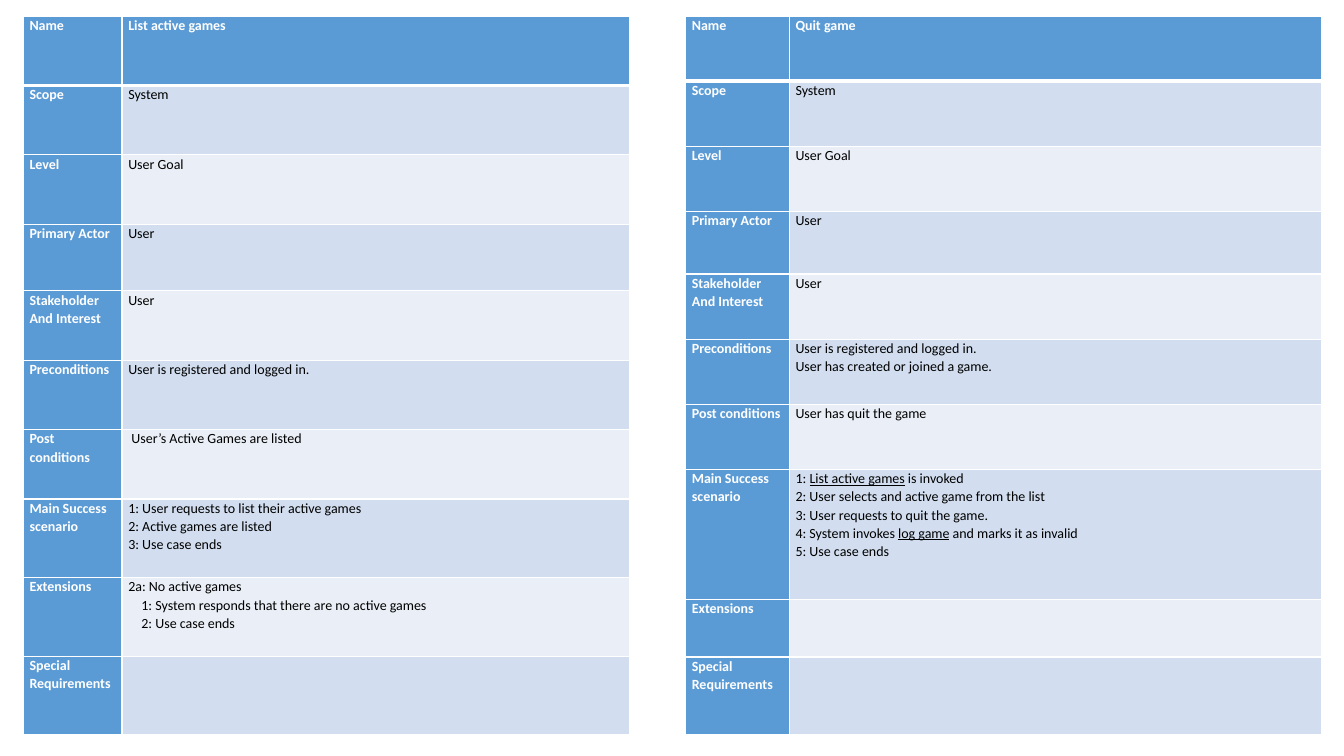
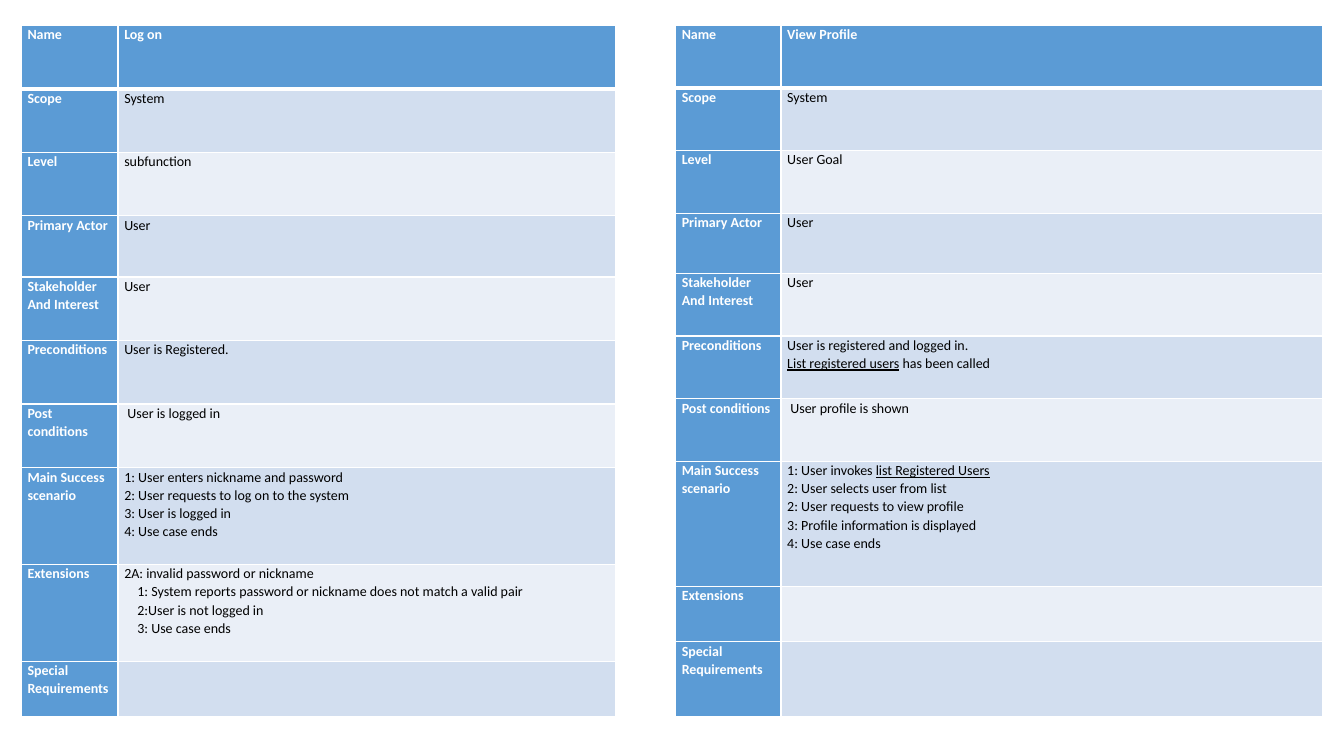
from lxml import etree
from pptx import Presentation
from pptx.dml.color import RGBColor
from pptx.oxml.ns import qn
from pptx.util import Inches, Pt

SLIDE_WIDTH, SLIDE_HEIGHT = Inches(13.33), Inches(7.5)
BLANK_LAYOUT = 6

FONT, FONT_SIZE, LINE_SPACING = "Calibri", Pt(10), 1.07
WHITE, BLACK = "FFFFFF", "000000"
HEADER_FILL = "5B9BD5"
BAND_FILLS = ("EAEFF7", "D2DEEF")  # even rows, odd rows
THIN_LINE, HEADER_LINE = Pt(1), Pt(3)
SIDE_MARGIN = Pt(4.5)
STEP_INDENT = Inches(0.13)

LABEL_SHARE = 0.163  # label column, of the table width
ACTOR_RATIO = 0.96   # actor row, of an ordinary row
ACTOR_ROW = 3
LABELS = (
    ["Name"], ["Scope"], ["Level"], ["Primary Actor"],
    ["Stakeholder", "And Interest"], ["Preconditions"], ["Post conditions"],
    ["Main Success scenario"], ["Extensions"], ["Special Requirements"],
)

# Boxes are left, top, width and height in percent of the slide; tall rows are
# the last three, in percent of the table. In the lines, _x_ underlines x and
# a leading > indents a step.
SLIDES = (
    (
        {
            "box": (1.73, 2.13, 45.09, 95.07),
            "tall_rows": (10.94, 10.94, 10.94),
            "values": (
                ["List active games"], ["System"], ["User Goal"], ["User"], ["User"],
                ["User is registered and logged in."],
                [" User’s Active Games are listed"],
                ["1: User requests to list their active games",
                 "2: Active games are listed",
                 "3: Use case ends"],
                ["2a: No active games",
                 ">1: System responds that there are no active games",
                 ">2: Use case ends"],
                [],
            ),
        },
        {
            "box": (51.01, 2.13, 47.34, 95.07),
            "tall_rows": (18.1, 8, 10.8),
            "values": (
                ["Quit game"], ["System"], ["User Goal"], ["User"], ["User"],
                ["User is registered and logged in.",
                 "User has created or joined a game."],
                ["User has quit the game"],
                ["1: _List active games_ is invoked",
                 "2: User selects and active game from the list",
                 "3: User requests to quit the game.",
                 "4: System invokes _log game_ and marks it as invalid",
                 "5: Use case ends"],
                [],
                [],
            ),
        },
    ),
    (
        {
            "box": (1.58, 3.33, 44.19, 91.47),
            "tall_rows": (14, 14, 8),
            "values": (
                ["Log on"], ["System"], ["subfunction"], ["User"], ["User"],
                ["User is Registered."],
                [" User is logged in"],
                ["1: User enters nickname and password",
                 "2: User requests to log on to the system",
                 "3: User is logged in",
                 "4: Use case ends"],
                ["2A: invalid password or nickname",
                 ">1: System reports password or nickname does not match a valid pair",
                 ">2:User is not logged in",
                 ">3: Use case ends"],
                [],
            ),
        },
        {
            "box": (50.26, 3.33, 48.16, 91.47),
            "tall_rows": (18.1, 8, 10.8),
            "values": (
                ["View Profile"], ["System"], ["User Goal"], ["User"], ["User"],
                ["User is registered and logged in.",
                 "_List registered users_ has been called"],
                [" User profile is shown"],
                ["1: User invokes _list Registered Users_",
                 "2: User selects user from list",
                 "2: User requests to view profile",
                 "3: Profile information is displayed",
                 "4: Use case ends"],
                [],
                [],
            ),
        },
    ),
)


def rgb(color):
    return RGBColor.from_string(color)


def set_borders(cell, top, bottom):
    """Draw white cell borders; only the top and bottom widths vary."""
    properties = cell._tc.get_or_add_tcPr()
    sides = (("a:lnL", THIN_LINE), ("a:lnR", THIN_LINE), ("a:lnT", top), ("a:lnB", bottom))
    for position, (tag, width) in enumerate(sides):
        line = etree.Element(qn(tag), w=str(int(width)))
        fill = etree.SubElement(line, qn("a:solidFill"))
        etree.SubElement(fill, qn("a:srgbClr"), val=WHITE)
        properties.insert(position, line)


def add_line(paragraph, line, color, bold):
    paragraph.line_spacing = LINE_SPACING
    if line.startswith(">"):
        paragraph._p.get_or_add_pPr().set("marL", str(int(STEP_INDENT)))
        line = line[1:]
    for position, piece in enumerate(line.split("_")):
        if not piece:
            continue
        run = paragraph.add_run()
        run.text = piece
        run.font.name, run.font.size = FONT, FONT_SIZE
        run.font.bold = bold
        run.font.color.rgb = rgb(color)
        if position % 2:
            run.font.underline = True


def fill_cell(cell, lines, row, is_header):
    cell.margin_left = cell.margin_right = SIDE_MARGIN
    cell.margin_top = cell.margin_bottom = 0
    cell.fill.solid()
    cell.fill.fore_color.rgb = rgb(HEADER_FILL if is_header else BAND_FILLS[row % 2])
    set_borders(cell,
                top=HEADER_LINE if row == 1 else THIN_LINE,
                bottom=HEADER_LINE if row == 0 else THIN_LINE)
    frame = cell.text_frame
    for position, line in enumerate(lines):
        paragraph = frame.add_paragraph() if position else frame.paragraphs[0]
        add_line(paragraph, line, WHITE if is_header else BLACK, is_header)


def row_heights(height, tall_rows):
    """Share what the tall rows leave among the ordinary rows."""
    tall = [height * percent / 100 for percent in tall_rows]
    ordinary_count = len(LABELS) - len(tall)
    ordinary = (height - sum(tall)) / (ordinary_count - 1 + ACTOR_RATIO)
    heights = [ordinary] * ordinary_count
    heights[ACTOR_ROW] *= ACTOR_RATIO
    return heights + tall


def add_use_case(slide, box, tall_rows, values):
    left, top, width, height = (
        int(size * percent / 100)
        for size, percent in zip((SLIDE_WIDTH, SLIDE_HEIGHT) * 2, box)
    )
    table = slide.shapes.add_table(len(LABELS), 2, left, top, width, height).table
    table.first_col = True
    label_width = int(width * LABEL_SHARE)
    table.columns[0].width = label_width
    table.columns[1].width = width - label_width
    for row, row_height in enumerate(row_heights(height, tall_rows)):
        table.rows[row].height = int(row_height)
        fill_cell(table.cell(row, 0), LABELS[row], row, True)
        fill_cell(table.cell(row, 1), values[row], row, row == 0)


def main():
    presentation = Presentation()
    presentation.slide_width, presentation.slide_height = SLIDE_WIDTH, SLIDE_HEIGHT
    for use_cases in SLIDES:
        slide = presentation.slides.add_slide(presentation.slide_layouts[BLANK_LAYOUT])
        for use_case in use_cases:
            add_use_case(slide, **use_case)
    presentation.save("out.pptx")


if __name__ == "__main__":
    main()
